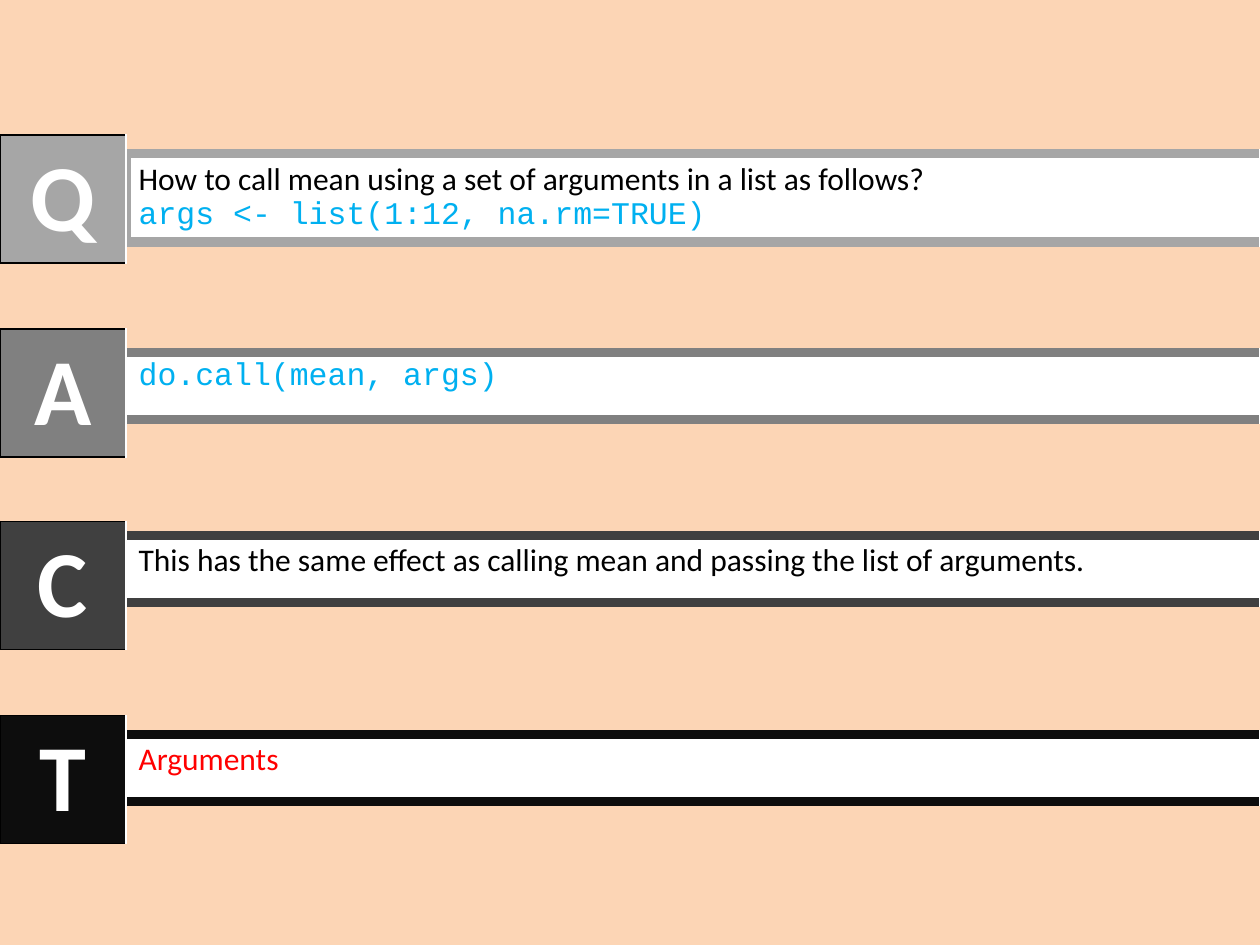
from dataclasses import dataclass

from lxml.etree import SubElement
from pptx import Presentation
from pptx.dml.color import RGBColor
from pptx.enum.text import MSO_ANCHOR, PP_ALIGN
from pptx.oxml.ns import qn
from pptx.util import Pt

PX = 9144
COLORS = {
    "peach": "FCD5B5",
    "white": "FFFFFF",
    "black": "000000",
    "blue": "00B0F0",
    "red": "FF0000",
    "light": "A6A6A6",
    "mid": "808080",
    "dark": "404040",
    "ink": "0D0D0D",
}
PROSE = {"name": "Calibri", "size": Pt(18), "color": "black"}
CODE = {"name": "Courier New", "size": Pt(18), "color": "blue"}
TOPIC = PROSE | {"color": "red"}
LETTER = {"name": "Calibri", "size": Pt(54), "bold": True, "color": "white"}


@dataclass
class Line:
    text: str
    fmt: dict


@dataclass
class Border:
    color: str
    width: int = 1


@dataclass
class Box:
    left: int
    top: int
    width: int
    height: int


@dataclass
class Card:
    letter: str
    shade: str
    top: int
    lines: list[Line]
    left_border: Border
    height: int = 53


CARDS = [
    Card("Q", "light", 122, [
        Line("How to call mean using a set of arguments in a list as follows?", PROSE),
        Line("args <- list(1:12, na.rm=TRUE)", CODE),
    ], Border("light", 6), 70),
    Card("A", "mid", 280, [Line("do.call(mean, args)", CODE)], Border("white")),
    Card("C", "dark", 425, [
        Line("This has the same effect as calling mean and passing the list of arguments.", PROSE),
    ], Border("white")),
    Card("T", "ink", 583, [Line("Arguments", TOPIC)], Border("white")),
]


def rgb(name: str) -> RGBColor:
    return RGBColor.from_string(COLORS[name])


def set_borders(cell, borders: dict[str, Border]) -> None:
    tc_pr = cell._tc.get_or_add_tcPr()
    for side in "LRTB":
        border = borders[side]
        ln = SubElement(tc_pr, qn(f"a:ln{side}"), w=str(Pt(border.width)))
        fill = SubElement(ln, qn("a:solidFill"))
        SubElement(fill, qn("a:srgbClr"), val=COLORS[border.color])


def add_cell_table(s, box: Box, lines: list[Line], fill: str, borders: dict[str, Border],
                   anchor=MSO_ANCHOR.TOP, align=PP_ALIGN.LEFT) -> None:
    size = [v * PX for v in (box.left, box.top, box.width, box.height)]
    table = s.shapes.add_table(1, 1, *size).table
    table.first_row = table.horz_banding = False
    cell = table.cell(0, 0)
    set_borders(cell, borders)
    cell.fill.solid()
    cell.fill.fore_color.rgb = rgb(fill)
    cell.vertical_anchor = anchor
    tf = cell.text_frame
    for i, line in enumerate(lines):
        p = tf.add_paragraph() if i else tf.paragraphs[0]
        p.alignment = align
        r = p.add_run()
        r.text = line.text
        for key, value in line.fmt.items():
            if key == "color":
                r.font.color.rgb = rgb(value)
            else:
                setattr(r.font, key, value)


def add_bar(s, card: Card) -> None:
    edge = Border(card.shade, 6)
    borders = {"L": card.left_border, "R": Border("white"), "T": edge, "B": edge}
    add_cell_table(s, Box(100, card.top, 900, card.height), card.lines, "white", borders)


def add_letter(s, card: Card, top: int) -> None:
    edge = Border("black")
    borders = {"L": edge, "R": Border("white"), "T": edge, "B": edge}
    add_cell_table(s, Box(0, top, 100, 100), [Line(card.letter, LETTER)], card.shade,
                   borders, MSO_ANCHOR.MIDDLE, PP_ALIGN.CENTER)


def main() -> None:
    prs = Presentation()
    prs.slide_width, prs.slide_height = 1000 * PX, 750 * PX
    s = prs.slides.add_slide(prs.slide_layouts[6])
    s.background.fill.solid()
    s.background.fill.fore_color.rgb = rgb("peach")
    for card in CARDS:
        add_bar(s, card)
    first, last = 107, 568
    for i, card in enumerate(CARDS):
        add_letter(s, card, first + round(i * (last - first) / (len(CARDS) - 1)))
    prs.save("out.pptx")


if __name__ == "__main__":
    main()
